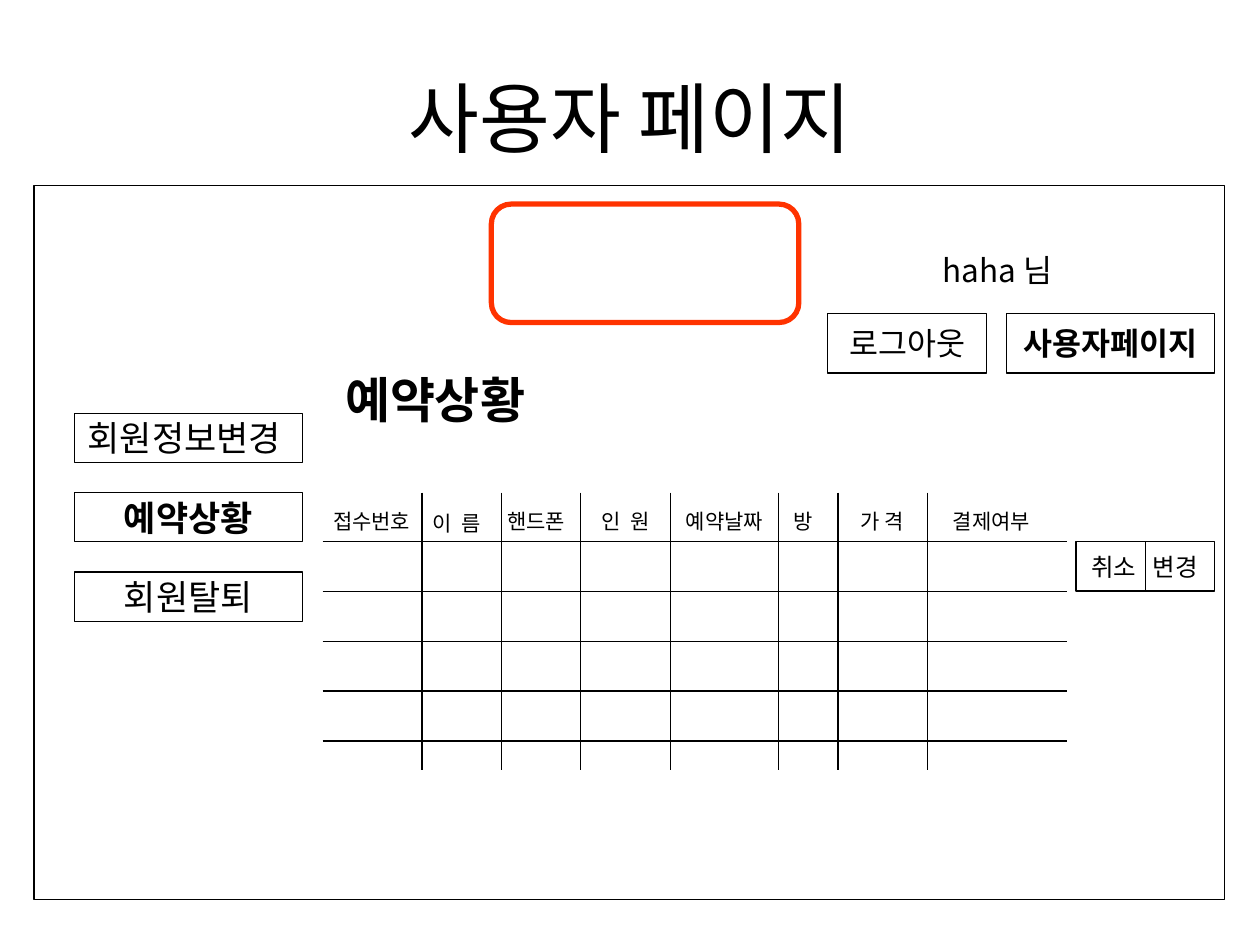
from lxml.etree import SubElement
from pptx import Presentation
from pptx.dml.color import RGBColor
from pptx.enum.shapes import MSO_CONNECTOR, MSO_SHAPE
from pptx.enum.text import MSO_ANCHOR, MSO_AUTO_SIZE, PP_ALIGN
from pptx.oxml.ns import qn
from pptx.util import Inches, Pt

FONT = "Noto Sans CJK KR"
BLACK = RGBColor(0, 0, 0)
RED = RGBColor(0xFF, 0x33, 0x00)

TITLE = "사용자 페이지"
FRAME = (0.27, 1.47, 9.45, 5.67)
BANNER = (3.9, 1.62, 2.44, 0.94)

# text, box, size, bold, colour, alignment
NOTES = [
    ("haha 님", (7.13, 1.94, 1.57, 0.4), 18, False, BLACK, PP_ALIGN.CENTER),
    ("예약상황", (2.64, 2.88, 2.76, 0.57), 28, True, BLACK, PP_ALIGN.LEFT),
]
# text, bold
MENU = [("회원정보변경 ", False), ("예약상황", True), ("회원탈퇴", False)]
MENU_TOP, MENU_STEP = 3.28, 0.63
# text, left, width, bold
LINKS = [("로그아웃", 6.57, 1.26, False), ("사용자페이지", 7.99, 1.65, True)]
ACTIONS = "취소\t변경"

# text, left, width, top, letter spacing in points
HEADS = [
    ("접수번호", 2.48, 0.94, 3.99, 0),
    ("이 름", 3.27, 0.71, 4, 1.5),
    ("핸드폰", 3.9, 0.71, 3.99, 0),
    ("인 원", 4.61, 0.71, 3.99, 1.5),
    ("예약날짜", 5.24, 1.02, 3.99, 0),
    ("방", 6.02, 0.71, 3.99, 0),
    ("가 격", 6.65, 0.71, 3.99, 0),
    ("결제여부", 7.36, 1.02, 3.99, 0),
]
COLS = [3.35, 3.98, 4.61, 5.32, 6.18, 6.65, 7.36]
LEFT, RIGHT, TOP, END = 2.56, 8.47, 3.91, 6.11
FIRST, LAST, ROWS = 4.3, 5.88, 5


def style(par, size, bold=False, color=BLACK, align=PP_ALIGN.CENTER):
    par.alignment = align
    font = par.font
    font.name, font.size, font.bold = FONT, Pt(size), bold
    font.color.rgb = color
    base = par._p.pPr.find(qn("a:defRPr"))
    SubElement(base, qn("a:ea")).set("typeface", FONT)


def outline(shapes, kind, box, color=BLACK, width=0.75):
    shape = shapes.add_shape(kind, *map(Inches, box))
    shape.shadow.inherit = False
    shape.fill.background()
    shape.line.color.rgb = color
    shape.line.width = Pt(width)
    return shape


def button(shapes, text, box, size, bold=False):
    shape = outline(shapes, MSO_SHAPE.RECTANGLE, box)
    frame = shape.text_frame
    frame.word_wrap = False
    frame.vertical_anchor = MSO_ANCHOR.MIDDLE
    frame.text = text
    style(frame.paragraphs[0], size, bold)
    return shape


def label(shapes, text, box, *look):
    frame = shapes.add_textbox(*map(Inches, box)).text_frame
    frame.word_wrap = True
    frame.auto_size = MSO_AUTO_SIZE.SHAPE_TO_FIT_TEXT
    frame.text = text
    style(frame.paragraphs[0], *look)
    return frame.paragraphs[0]


def rule(shapes, *ends):
    line = shapes.add_connector(MSO_CONNECTOR.STRAIGHT, *map(Inches, ends))
    line.line.color.rgb = BLACK
    line.line.width = Pt(0.75)
    SubElement(line._element.spPr, qn("a:effectLst"))
    return line


def draw_grid(shapes):
    step = (LAST - FIRST) / (ROWS - 1)
    for i in range(ROWS):
        y = FIRST + i * step
        rule(shapes, LEFT, y, RIGHT, y)
    for x in COLS:
        rule(shapes, x, TOP, x, END)
    for text, left, width, top, gap in HEADS:
        par = label(shapes, text, (left, top, width, 0.3), 12)
        if gap:
            par.runs[0]._r.get_or_add_rPr().set("spc", str(int(gap * 100)))


def draw_actions(shapes):
    box = button(shapes, "", (8.54, 4.3, 1.1, 0.39), 14)
    frame = box.text_frame
    frame.word_wrap = True
    frame.margin_left, frame.margin_right = Inches(0.12), 0
    par = frame.paragraphs[0]
    props = par._p.get_or_add_pPr()
    for old in list(props):
        props.remove(old)
    tabs = SubElement(props, qn("a:tabLst"))
    SubElement(tabs, qn("a:tab"), pos=str(Inches(0.49)), algn="l")
    par.add_run().text = ACTIONS
    style(par, 14, align=PP_ALIGN.LEFT)
    split = rule(shapes, 9.09, 4.3, 9.09, 4.69)
    split.begin_connect(box, 0)
    split.end_connect(box, 2)


def main():
    deck = Presentation()
    deck.slide_width, deck.slide_height = Inches(10), Inches(7.5)
    slide = deck.slides.add_slide(deck.slide_layouts[5])
    shapes = slide.shapes

    title = shapes.title
    title.left, title.top, title.width, title.height = map(
        Inches, (0.5, 0.3, 9, 1.25))
    title.text_frame.text = TITLE
    title.text_frame.vertical_anchor = MSO_ANCHOR.MIDDLE
    style(title.text_frame.paragraphs[0], 44)

    outline(shapes, MSO_SHAPE.RECTANGLE, FRAME)
    outline(shapes, MSO_SHAPE.ROUNDED_RECTANGLE, BANNER, RED, 3)

    for i, (text, bold) in enumerate(MENU):
        top = MENU_TOP + i * MENU_STEP
        button(shapes, text, (0.59, top, 1.81, 0.39), 20, bold)
    for text, left, width, bold in LINKS:
        button(shapes, text, (left, 2.49, width, 0.47), 18, bold)
    for note in NOTES:
        label(shapes, *note)

    draw_grid(shapes)
    draw_actions(shapes)
    deck.save("out.pptx")


if __name__ == "__main__":
    main()
